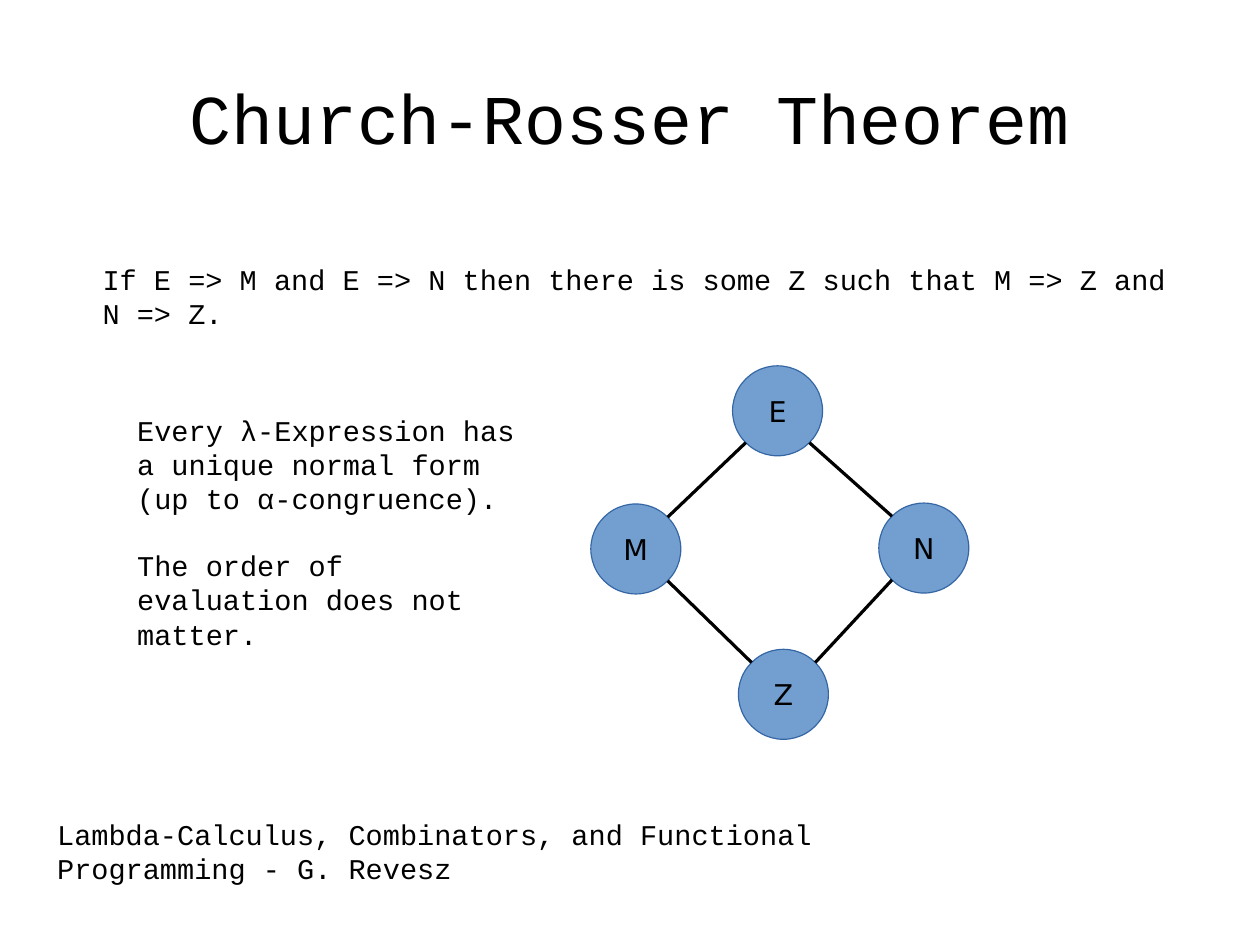
from math import copysign, sqrt

from lxml.etree import SubElement
from pptx import Presentation
from pptx.dml.color import RGBColor
from pptx.enum.shapes import MSO_CONNECTOR, MSO_SHAPE
from pptx.enum.text import MSO_ANCHOR, PP_ALIGN
from pptx.oxml.ns import qn
from pptx.util import Cm, Pt

MONO, SANS = "Courier New", "DejaVu Sans"
BLACK, BLUE, EDGE = "000000", "729FCF", "3465A4"
SIZE = 2.0  # node diameter in cm

# Left and top of each node in cm
NODES = {"E": (16.28, 8.13), "Z": (16.41, 14.43),
         "N": (19.53, 11.18), "M": (13.13, 11.2)}
LINKS = ["EM", "EN", "MZ", "NZ"]

BODY = {"word_wrap": True, "vertical_anchor": MSO_ANCHOR.TOP}
TITLE = {"word_wrap": True, "vertical_anchor": MSO_ANCHOR.MIDDLE,
         "margin_left": 0, "margin_right": 0,
         "margin_top": 0, "margin_bottom": 0}
LABEL = {"word_wrap": False, "vertical_anchor": MSO_ANCHOR.MIDDLE}


def color(code):
    return RGBColor.from_string(code)


def apply(item, style):
    for name, value in style.items():
        setattr(item, name, value)


def write(frame, lines, style, font=MONO, size=18, align=PP_ALIGN.LEFT, gap=0):
    apply(frame, style)
    for i, line in enumerate(lines):
        para = frame.add_paragraph() if i else frame.paragraphs[0]
        apply(para, {"alignment": align, "space_before": Pt(gap if i else 0)})
        run = para.add_run()
        run.text = line
        apply(run.font, {"name": font, "size": Pt(size)})
        run.font.color.rgb = color(BLACK)


def add_text(slide, place, lines, style=BODY, **format):
    box = slide.shapes.add_textbox(*map(Cm, place))
    write(box.text_frame, lines, style, **format)


def add_node(slide, name):
    left, top = NODES[name]
    node = slide.shapes.add_shape(
        MSO_SHAPE.OVAL, Cm(left), Cm(top), Cm(SIZE), Cm(SIZE))
    node.shadow.inherit = False
    node.fill.solid()
    node.fill.fore_color.rgb = color(BLUE)
    node.line.color.rgb = color(EDGE)
    node.line.width = Pt(0)
    write(node.text_frame, [name], LABEL, font=SANS, align=PP_ALIGN.CENTER)


def add_link(slide, start, end):
    # Each link runs between the diagonal points of two circles
    ends = []
    reach = SIZE / 2 / sqrt(2)
    for here, there in ((start, end), (end, start)):
        for a, b in zip(NODES[here], NODES[there]):
            ends.append(Cm(a + SIZE / 2 + copysign(reach, b - a)))
    link = slide.shapes.add_connector(MSO_CONNECTOR.STRAIGHT, *ends)
    link.line.color.rgb = color(BLACK)
    link.line.width = Pt(0)
    SubElement(link._element.spPr, qn("a:effectLst"))


def main():
    deck = Presentation()
    apply(deck, {"slide_width": Cm(28), "slide_height": Cm(21)})
    slide = deck.slides.add_slide(deck.slide_layouts[6])

    # Title and theorem
    add_text(slide, (1.4, 0.84, 25.2, 3.51), ["Church-Rosser Theorem"],
             TITLE, size=44, align=PP_ALIGN.CENTER)
    add_text(slide, (2.03, 5.7, 24.64, 2.67),
             ["If E => M and E => N then there is some Z "
              "such that M => Z and N => Z."])

    # Diamond diagram
    for name in NODES:
        add_node(slide, name)
    for start, end in LINKS:
        add_link(slide, start, end)

    # Consequences and reference
    add_text(slide, (2.8, 9.05, 8.9, 6.86),
             ["Every λ-Expression has a unique normal form "
              "(up to α-congruence).",
              "The order of evaluation does not matter."], gap=20.4)
    add_text(slide, (1.02, 18.03, 17.78, 2.16),
             ["Lambda-Calculus, Combinators, and Functional "
              "Programming - G. Revesz"])

    deck.save("out.pptx")


if __name__ == "__main__":
    main()
